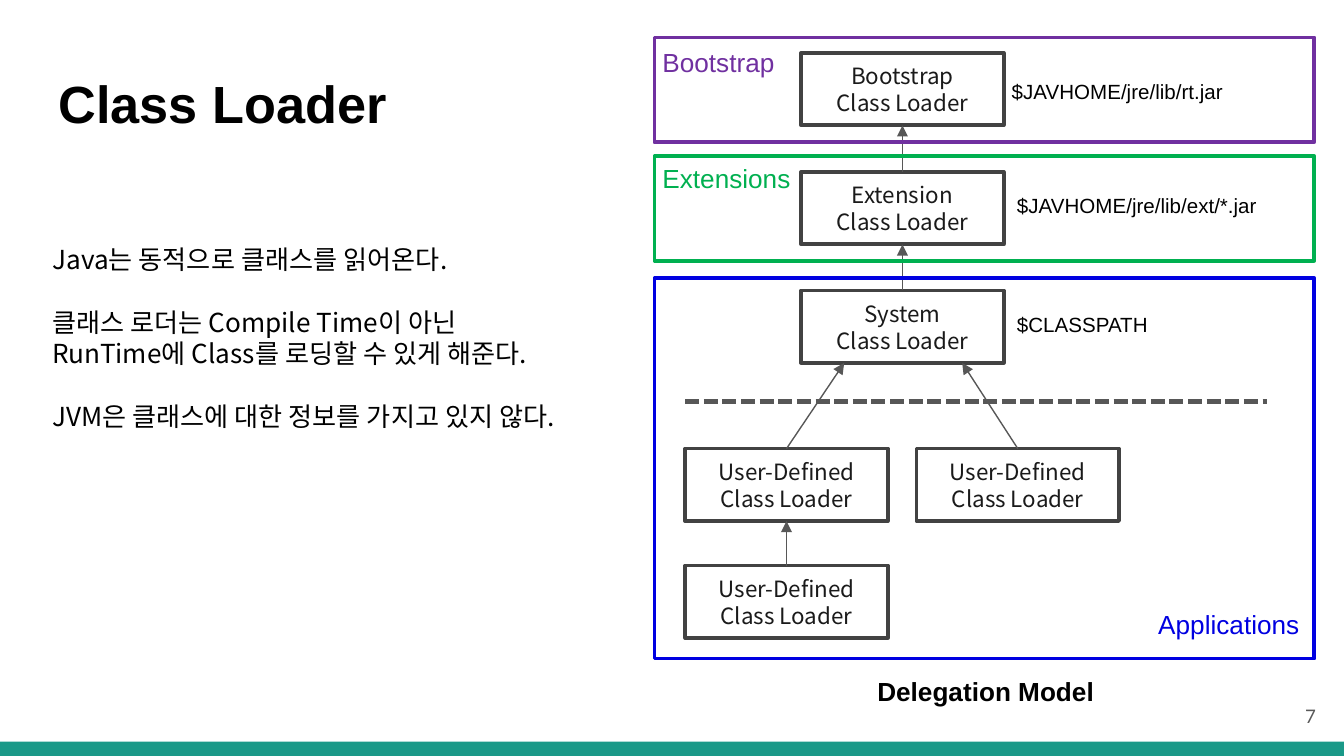
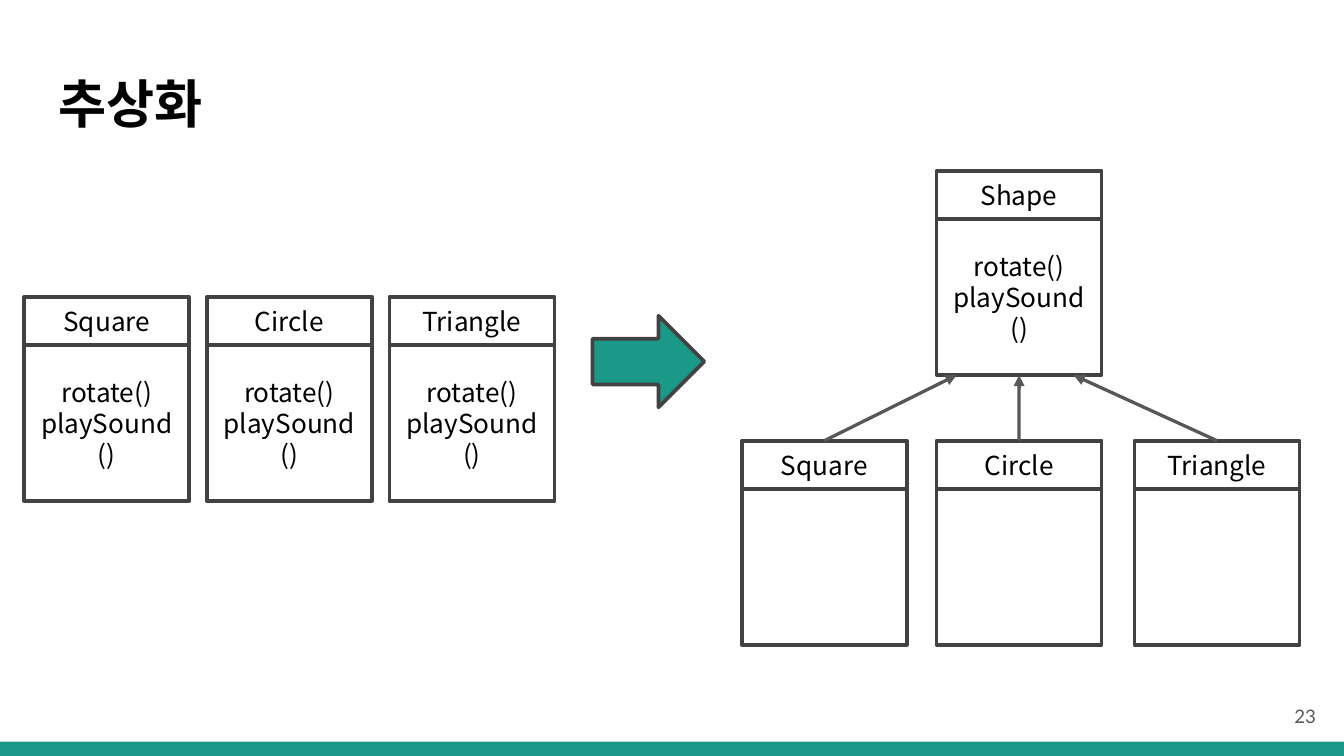
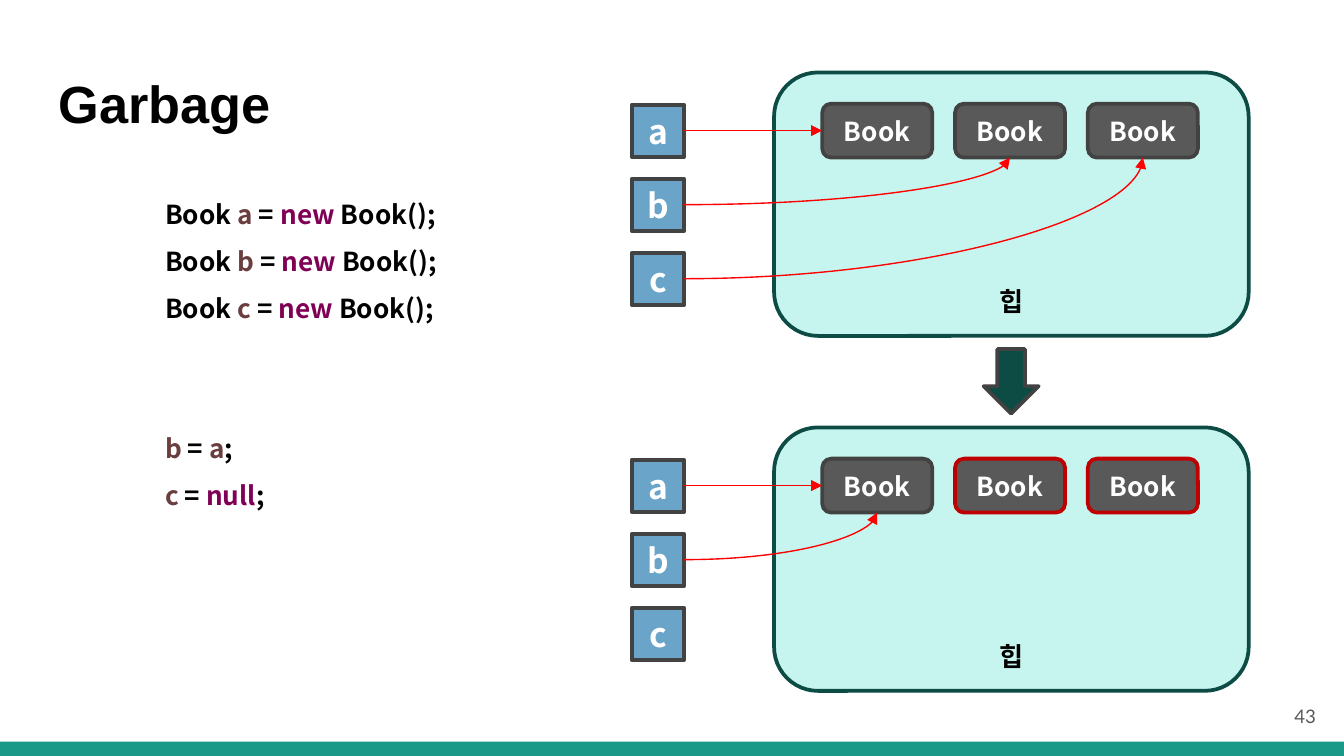
from lxml import etree
from pptx import Presentation
from pptx import util as u
from pptx.dml.color import RGBColor
from pptx.enum import dml, shapes, text
from pptx.oxml.ns import qn

COLORS = {
    "black": "000000", "white": "FFFFFF", "ink": "1A1A1A", "gray": "595959",
    "edge": "424242", "arrow": "575757", "teal": "1A9988", "deep": "0D4C44",
    "mint": "C6F5EF", "sky": "6AA4C8", "red": "FF0000", "dark red": "C00000",
    "purple": "7030A0", "green": "00B050", "blue": "0000E1",
    "variable": "6A3E3E", "keyword": "7F0055",
}
KR, SANS = "Noto Sans CJK KR", "Arial"
SHAPE, ALIGN, ANCHOR = shapes.MSO_SHAPE, text.PP_ALIGN, text.MSO_ANCHOR
LEFT, CENTER, RIGHT = ALIGN.LEFT, ALIGN.CENTER, ALIGN.RIGHT


def rgb(name):
    """Return the palette colour with this name."""
    return RGBColor.from_string(COLORS[name])


def assign(obj, values):
    """Set the attributes of an object from a dict."""
    for name, value in values.items():
        setattr(obj, name, value)


class Deck:
    """Holds the shared style and the current slide."""

    def __init__(self):
        self.prs = Presentation()
        assign(self.prs, {"slide_width": u.Cm(25.4), "slide_height": u.Cm(14.29)})
        self.layout = self.prs.slide_layouts[5]
        self.s = None

    def slide(self, title, number):
        """Start a slide with its title and page number."""
        first = self.s is None
        self.s = self.prs.slides.add_slide(self.layout)
        if first:
            band = self.shape(SHAPE.RECTANGLE, (0, 14.02, 25.4, 0.27), "teal", None)
            self.layout.shapes.element.append(band.element)
        sp = self.s.shapes.title
        place = map(u.Cm, (0.86, 1.09, 23.67, 1.73))
        assign(sp, dict(zip(("left", "top", "width", "height"), place)))
        sp.text_frame.auto_size = text.MSO_AUTO_SIZE.NONE
        self.fill_text(sp, [title], 28, font=SANS, bold=True, inset=0.25)
        self.label((23.6, 13, 1.52, 1.09), [str(number)], 10, font="Lato", color="gray",
                   align=RIGHT, anchor=ANCHOR.MIDDLE, inset=0.25, wrap=True, grow=False)

    def fill_text(self, sp, paras, size, font=KR, color="black", bold=False, align=LEFT,
                  anchor=ANCHOR.TOP, inset=None, spacing=None, before=None):
        """Fill in paragraphs: each a string or a list of (text, colour) runs.

        before maps a paragraph's index to the space above it in points.
        """
        tf = sp.text_frame
        tf.vertical_anchor = anchor
        if inset is not None:
            sides = ("left", "top", "right", "bottom")
            assign(tf, {f"margin_{side}": u.Cm(inset) for side in sides})
        for i, para in enumerate(paras):
            p = tf.add_paragraph() if i else tf.paragraphs[0]
            assign(p, {"alignment": align, "line_spacing": spacing,
                       "space_before": u.Pt((before or {}).get(i, 0))})
            for words, shade in [(para, color)] if isinstance(para, str) else para:
                r = p.add_run()
                r.text = words
                assign(r.font, {"size": u.Pt(size), "bold": bold, "name": font})
                r.font.color.rgb = rgb(shade)
                rpr = r._r.get_or_add_rPr()
                etree.SubElement(rpr, qn("a:ea")).set("typeface", KR)

    def label(self, box, paras, size, wrap=False, grow=True, **style):
        """Add a text box."""
        sp = self.s.shapes.add_textbox(*map(u.Cm, box))
        fit = text.MSO_AUTO_SIZE
        assign(sp.text_frame, {"word_wrap": wrap,
                               "auto_size": fit.SHAPE_TO_FIT_TEXT if grow else fit.NONE})
        self.fill_text(sp, paras, size, **style)

    def shape(self, kind, box, fill=None, line="edge", paras=(), size=14,
              anchor=ANCHOR.MIDDLE, **style):
        """Add a preset shape, with centred text if any is given."""
        sp = self.s.shapes.add_shape(kind, *map(u.Cm, box))
        sp.shadow.inherit = False
        if fill:
            sp.fill.solid()
            sp.fill.fore_color.rgb = rgb(fill)
        else:
            sp.fill.background()
        if line:
            sp.line.color.rgb = rgb(line)
            sp.line.width = u.Pt(2)
        else:
            sp.line.fill.background()
        if paras:
            self.fill_text(sp, paras, size, align=CENTER, anchor=anchor, **style)
        return sp

    def line(self, start, end, color="arrow", width=0.75, dash=None, head=True, curve=None):
        """Add a connector; curve names a curved preset geometry."""
        kind = shapes.MSO_CONNECTOR.CURVE if curve else shapes.MSO_CONNECTOR.STRAIGHT
        c = self.s.shapes.add_connector(kind, *map(u.Cm, start + end))
        c.line.color.rgb = rgb(color)
        assign(c.line, {"width": u.Pt(width), "dash_style": dash})
        props = c.element.spPr
        if curve:
            props.find(qn("a:prstGeom")).set("prst", curve)
        if head:
            etree.SubElement(props.find(qn("a:ln")), qn("a:tailEnd")).set("type", "triangle")
        etree.SubElement(props, qn("a:effectLst"))

    def class_card(self, x, y, name, methods=()):
        """Add a class box: a name above a list of methods."""
        self.shape(SHAPE.RECTANGLE, (x, y + 0.91, 3.12, 2.95), paras=methods)
        self.shape(SHAPE.RECTANGLE, (x, y, 3.12, 0.91), paras=[name])

    def heap(self, y, targets, garbage=()):
        """Add a heap of books; targets gives the book each variable refers to."""
        self.shape(SHAPE.ROUNDED_RECTANGLE, (14.63, y, 8.97, 4.98), "mint", "deep",
                   ["힙"], bold=True, anchor=ANCHOR.BOTTOM)
        for i, name in enumerate("abc"):
            self.shape(SHAPE.RECTANGLE, (11.94, y + 0.61 + 1.4 * i, 0.99, 0.99), "sky",
                       paras=[name], size=18, color="white", bold=True)
            self.shape(SHAPE.ROUNDED_RECTANGLE, (15.54 + 2.51 * i, y + 0.59, 2.08, 1.02),
                       "gray", "dark red" if i in garbage else "edge", ["Book"],
                       color="white", bold=True)
        for i, book in enumerate(targets):
            start = (12.93, y + 1.1 + 1.4 * i)
            if i == 0:
                end, curve = (15.54, start[1]), "curvedConnector3"
            else:
                end, curve = (16.58 + 2.51 * book, y + 1.61), "curvedConnector2"
            self.line(start, end, "red", curve=curve)


def class_loader(d):
    """Build the class loader slide."""
    d.slide("Class Loader", 7)
    w, h = 3.83, 1.37
    mid, left, right = 15.14, 12.95, 17.32
    top, ext, system, user, child = 1, 3.25, 5.49, 8.48, 10.69
    loaders = [("Bootstrap", mid, top), ("Extension", mid, ext), ("System", mid, system),
               ("User-Defined", left, user), ("User-Defined", right, user),
               ("User-Defined", left, child)]
    for name, x, y in loaders:
        d.shape(SHAPE.RECTANGLE, (x, y, w, h), paras=[name, "Class Loader"], size=12,
                color="ink")
    half = w / 2
    for x, y, end_x, parent in [(mid, ext, mid, top), (mid, system, mid, ext),
                                (left, user, 14.04, system), (right, user, 16.27, system),
                                (left, child, left, user)]:
        d.line((x + half, y), (end_x + half, parent + h))
    for x, y, width, words in [(18.87, 1.37, 4.57, "$JAVHOME/jre/lib/rt.jar"),
                               (18.97, 3.53, 5.11, "$JAVHOME/jre/lib/ext/*.jar"),
                               (18.97, 5.77, 3.07, "$CLASSPATH")]:
        d.label((x, y, width, 0.74), [words], 11, font=SANS)
    d.line((left, 7.59), (23.95, 7.59), width=2.5, dash=dml.MSO_LINE.SQUARE_DOT, head=False)
    for y, height, color, name, x, name_y, width in [
            (5.26, 7.19, "blue", "Applications", 21.64, 11.38, 3.2),
            (2.95, 1.98, "green", "Extensions", 12.27, 2.95, 2.95),
            (0.71, 1.98, "purple", "Bootstrap", 12.27, 0.76, 2.64)]:
        d.shape(SHAPE.RECTANGLE, (12.37, y, 12.47, height), line=color)
        d.label((x, name_y, width, 0.86), [name], 14, font=SANS, color=color)
    d.label((0.74, 4.47, 11.1, 5.05),
            ["Java는 동적으로 클래스를 읽어온다.",
             "클래스 로더는 Compile Time이 아닌",
             "RunTime에 Class를 로딩할 수 있게 해준다.",
             "JVM은 클래스에 대한 정보를 가지고 있지 않다."],
            14, before={1: 17, 3: 17})
    d.label((16.33, 12.65, 4.78, 0.86), ["Delegation Model"], 14, font=SANS, bold=True)


def abstraction(d):
    """Build the abstraction slide."""
    d.slide("추상화", 23)
    names, methods = ["Square", "Circle", "Triangle"], ["rotate()", "playSound()"]
    d.class_card(17.7, 3.23, "Shape", methods)
    for i, name in enumerate(names):
        d.class_card(0.46 + 3.45 * i, 5.61, name, methods)
    for name, x, end_x in zip(names, (14.02, 17.7, 21.44), (18.08, 19.26, 20.29)):
        d.class_card(x, 8.33, name)
        d.line((x + 1.56, 8.33), (end_x, 7.09), width=1.75)
    d.shape(SHAPE.RIGHT_ARROW, (11.2, 5.97, 2.11, 1.73), "teal")


def garbage(d):
    """Build the garbage slide."""
    d.slide("Garbage", 43)
    code = [[("Book ", "black"), (name, "variable"), (" = ", "black"),
             ("new", "keyword"), (" Book();", "black")] for name in "abc"]
    code += [[("b ", "variable"), ("= ", "black"), ("a", "variable"), (";", "black")],
             [("c", "variable"), (" = ", "black"), ("null", "keyword"), (";", "black")]]
    d.label((2.87, 3.33, 6.86, 6.53), code, 14, wrap=True, bold=True, spacing=1.5,
            before={3: 50})
    d.heap(1.37, targets=(0, 1, 2))
    d.heap(8.08, targets=(0, 0), garbage=(1, 2))
    d.shape(SHAPE.DOWN_ARROW, (18.59, 6.6, 1.04, 1.22), "deep")


deck = Deck()
for build in (class_loader, abstraction, garbage):
    build(deck)
deck.prs.save("out.pptx")
